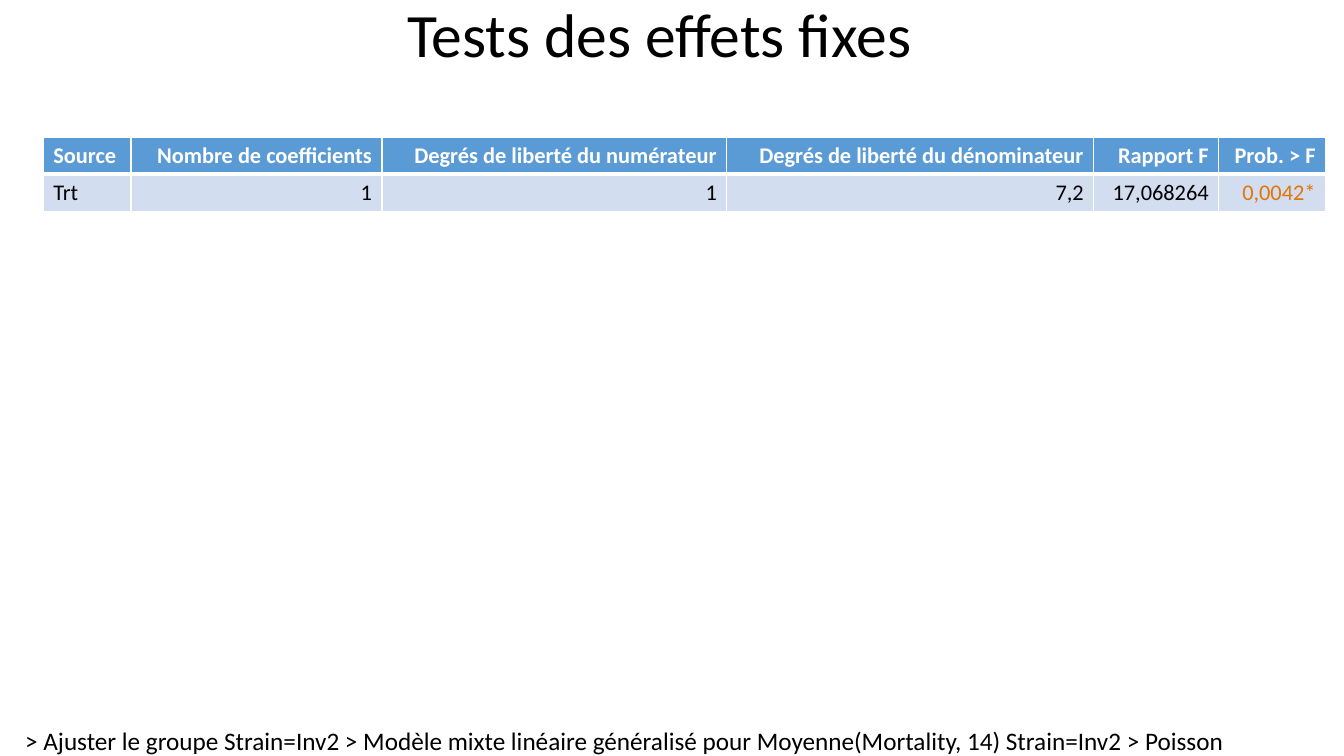
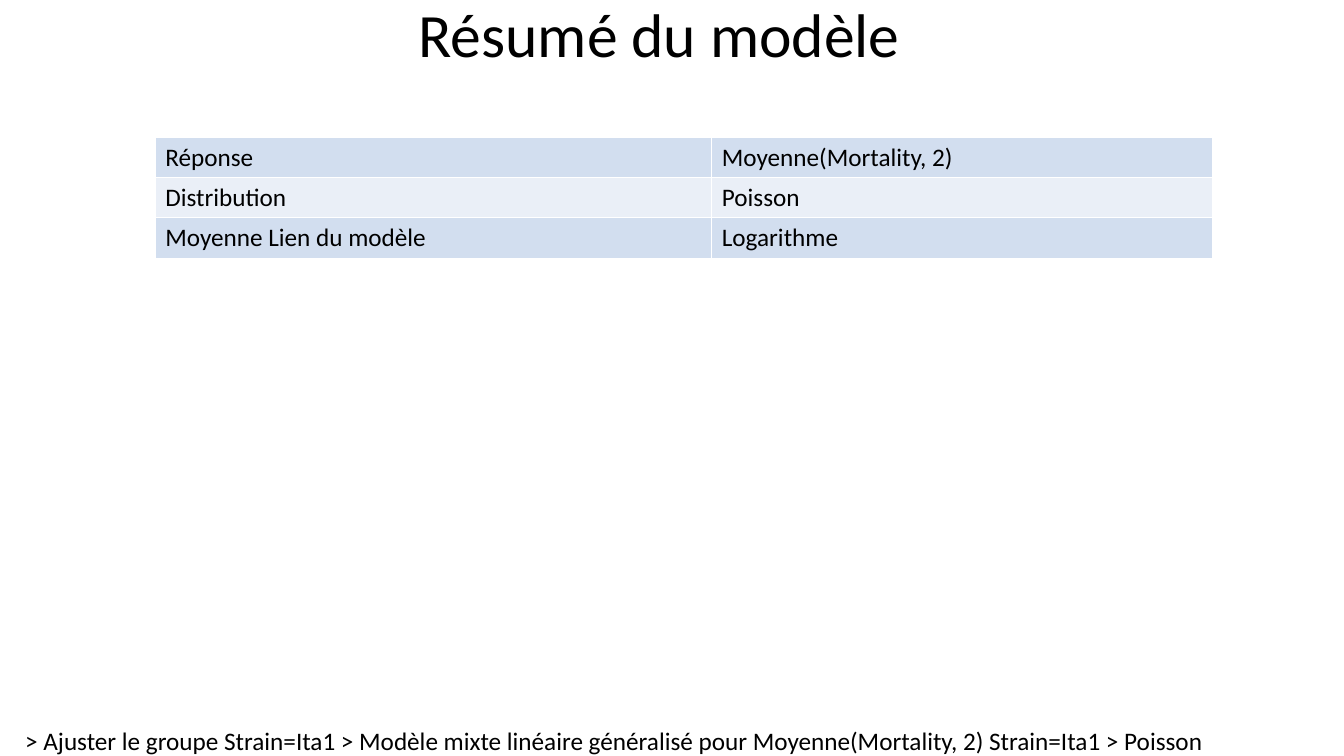
from lxml.etree import SubElement
from pptx import Presentation
from pptx.dml.color import RGBColor
from pptx.enum.text import MSO_ANCHOR, PP_ALIGN
from pptx.oxml.ns import qn
from pptx.util import Inches, Pt

# Shared style
W, H = 13.33, 7.5
FONT = "Calibri"
BLACK, WHITE, ORANGE = "000000", "FFFFFF", "E57406"
HEADER, BANDS = "5B9BD5", ("D2DEEF", "EAEFF7")
TITLE_W, TITLE_H = W - 0.25, H / 10
FOOTER_X, FOOTER_H = 0.25, 0.31
TABLE_Y = 1.36


def rgb(color):
    return RGBColor.from_string(color)


def style(p, size, color=BLACK, bold=False, align=PP_ALIGN.LEFT):
    p.alignment = align
    p.font.name, p.font.size, p.font.bold = FONT, Pt(size), bold
    p.font.color.rgb = rgb(color)


def add_text(s, text, x, y, w, h, size, align=PP_ALIGN.LEFT, wrap=True):
    tf = s.shapes.add_textbox(Inches(x), Inches(y), Inches(w), Inches(h)).text_frame
    tf.margin_left = tf.margin_right = tf.margin_top = tf.margin_bottom = 0
    tf.word_wrap = wrap
    tf.vertical_anchor = MSO_ANCHOR.MIDDLE
    p = tf.paragraphs[0]
    p.text = text
    style(p, size, align=align)
    return p


def add_slide(prs, title, footer):
    s = prs.slides.add_slide(prs.slide_layouts[6])
    add_text(s, footer, FOOTER_X, H - FOOTER_H, W - 2 * FOOTER_X, FOOTER_H, 18, wrap=False)
    p = add_text(s, title, 0, 0, TITLE_W, TITLE_H, 44, PP_ALIGN.CENTER)
    p.line_spacing = 0.9
    return s


def set_borders(cell, bottom):
    tcPr = cell._tc.get_or_add_tcPr()
    for side, width in (("L", 1), ("R", 1), ("T", 1), ("B", bottom)):
        ln = SubElement(tcPr, qn(f"a:ln{side}"), w=str(Pt(width)))
        fill = SubElement(ln, qn("a:solidFill"))
        SubElement(fill, qn("a:srgbClr"), val=WHITE)


def add_table(s, x, cols, row_h, rows, size, header=False, numeric=False):
    """Banded table; numeric aligns all but the first column to the right."""
    table = s.shapes.add_table(len(rows), len(cols), Inches(x), Inches(TABLE_Y),
                               Inches(sum(cols)), Inches(row_h * len(rows))).table
    table.first_row, table.horz_banding = header, False
    for column, width in zip(table.columns, cols):
        column.width = Inches(width)
    for i, row in enumerate(rows):
        is_head = header and i == 0
        band = HEADER if is_head else BANDS[(i - header) % 2]
        for j, text in enumerate(row):
            cell = table.cell(i, j)
            set_borders(cell, 3 if is_head else 1)
            cell.fill.solid()
            cell.fill.fore_color.rgb = rgb(band)
            cell.text = text
            # A star marks a significant probability
            color = WHITE if is_head else ORANGE if text.endswith("*") else BLACK
            align = PP_ALIGN.RIGHT if numeric and j else PP_ALIGN.LEFT
            style(cell.text_frame.paragraphs[0], size, color, is_head, align)


def main():
    prs = Presentation()
    prs.slide_width, prs.slide_height = Inches(W), Inches(H)

    # Fixed effects
    s = add_slide(prs, "Tests des effets fixes",
                  "> Ajuster le groupe Strain=Inv2 > Modèle mixte linéaire généralisé "
                  "pour Moyenne(Mortality, 14) Strain=Inv2 > Poisson")
    add_table(s, 0.43, (0.87, 2.49, 3.42, 3.64, 1.24, 1.06), 0.37, [
        ("Source", "Nombre de coefficients", "Degrés de liberté du numérateur",
         "Degrés de liberté du dénominateur", "Rapport F", "Prob. > F"),
        ("Trt", "1", "1", "7,2", "17,068264", "0,0042*"),
    ], 16, header=True, numeric=True)

    # Model summary
    s = add_slide(prs, "Résumé du modèle",
                  "> Ajuster le groupe Strain=Ita1 > Modèle mixte linéaire généralisé "
                  "pour Moyenne(Mortality, 2) Strain=Ita1 > Poisson")
    add_table(s, 1.54, (5.52, 4.97), 0.4, [
        ("Réponse", "Moyenne(Mortality, 2)"),
        ("Distribution", "Poisson"),
        ("Moyenne Lien du modèle", "Logarithme"),
    ], 18)

    prs.save("out.pptx")


if __name__ == "__main__":
    main()
